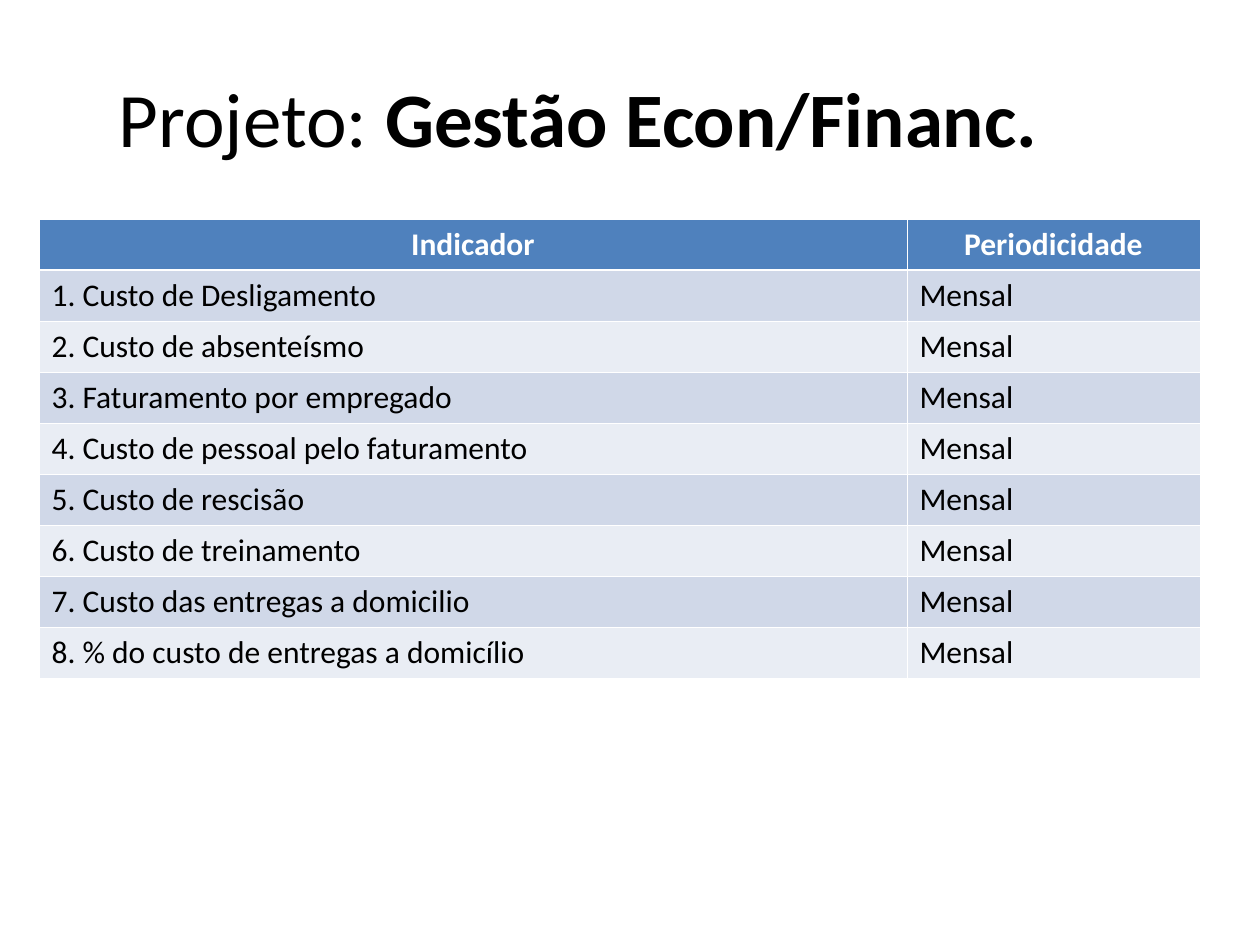
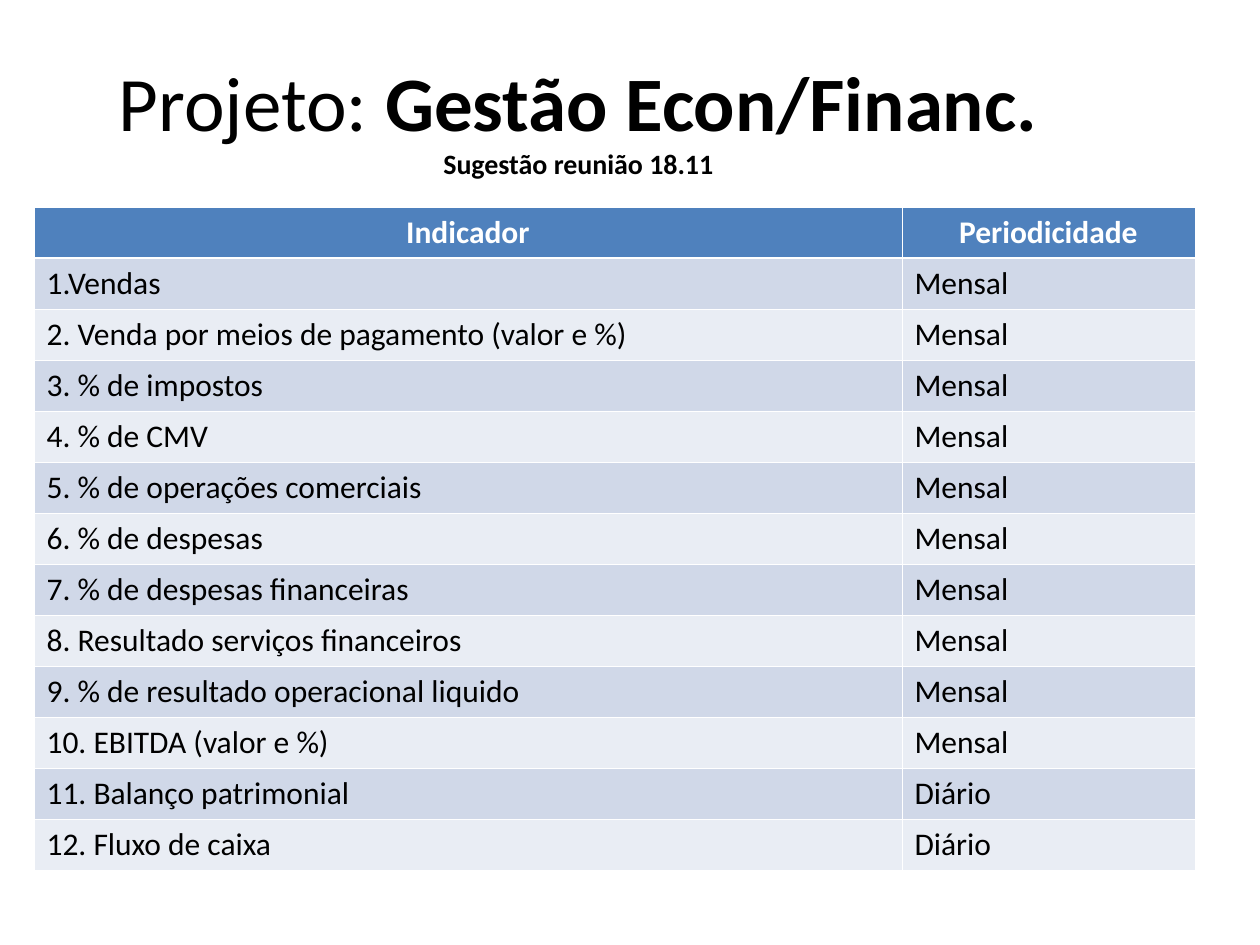
from lxml.etree import SubElement as Sub
from pptx import Presentation as Deck
from pptx.dml.color import RGBColor as Rgb
from pptx.enum.text import MSO_ANCHOR as Anchor, PP_ALIGN as Align
from pptx.oxml.ns import qn
from pptx.util import Pt

SCALE = 914400 / 126
HUES = {
    "black": "000000",
    "white": "FFFFFF",
    "head": "4F81BD",
    "odd": "D0D8E8",
    "even": "E9EDF4",
}
FACE = "Calibri"
TITLE = (-20, 38, 1197, 158)
COLS = (868, 293)
ROW = 51
THIN, THICK = 0.45, 1.47
HEADS = ("Indicador", "Periodicidade")

COSTS = [
    ("1. Custo de Desligamento", "Mensal"),
    ("2. Custo de absenteísmo", "Mensal"),
    ("3. Faturamento por empregado", "Mensal"),
    ("4. Custo de pessoal pelo faturamento", "Mensal"),
    ("5. Custo de rescisão", "Mensal"),
    ("6. Custo de treinamento", "Mensal"),
    ("7. Custo das entregas a domicilio", "Mensal"),
    ("8. % do custo de entregas a domicílio", "Mensal"),
]
SALES = [
    ("1.Vendas", "Mensal"),
    ("2. Venda por meios de pagamento (valor e %)", "Mensal"),
    ("3. % de impostos", "Mensal"),
    ("4. % de CMV", "Mensal"),
    ("5. % de operações comerciais", "Mensal"),
    ("6. % de despesas", "Mensal"),
    ("7. % de despesas financeiras", "Mensal"),
    ("8. Resultado serviços financeiros", "Mensal"),
    ("9. % de resultado operacional liquido", "Mensal"),
    ("10. EBITDA (valor e %)", "Mensal"),
    ("11. Balanço patrimonial", "Diário"),
    ("12. Fluxo de caixa", "Diário"),
]


def px(size):
    return round(size * SCALE)


def put(item, form):
    for key, value in form.items():
        setattr(item, key, value)


def write(par, text, size, hue="black", bold=False):
    run = par.add_run()
    run.text = text
    put(run.font, {"name": FACE, "size": Pt(size), "bold": bold})
    run.font.color.rgb = Rgb.from_string(HUES[hue])


def add_title(slide, box, note=None):
    frame = slide.shapes.add_textbox(*map(px, box)).text_frame
    put(frame, {"word_wrap": True, "vertical_anchor": Anchor.MIDDLE})
    par = frame.paragraphs[0]
    par.alignment = Align.CENTER
    write(par, "Projeto: ", 44)
    write(par, "Gestão Econ/Financ.", 44, bold=True)
    if note:
        par.add_line_break()
        write(par, note, 16, bold=True)


def edge(cell, row):
    widths = {
        "lnL": THIN,
        "lnR": THIN,
        "lnT": THICK if row == 1 else THIN,
        "lnB": THICK if row == 0 else THIN,
    }
    props = cell._tc.get_or_add_tcPr()
    for side, width in widths.items():
        line = Sub(props, qn("a:" + side), w=str(Pt(width)))
        fill = Sub(line, qn("a:solidFill"))
        Sub(fill, qn("a:srgbClr"), val=HUES["white"])


def add_grid(slide, left, top, items):
    rows = [HEADS, *items]
    box = (left, top, sum(COLS), ROW * len(rows))
    grid = slide.shapes.add_table(len(rows), len(COLS), *map(px, box)).table
    for col, width in zip(grid.columns, COLS):
        col.width = px(width)
    for r, texts in enumerate(rows):
        grid.rows[r].height = px(ROW)
        head = r == 0
        band = "head" if head else "odd" if r % 2 else "even"
        for c, text in enumerate(texts):
            cell = grid.cell(r, c)
            edge(cell, r)
            cell.fill.solid()
            cell.fill.fore_color.rgb = Rgb.from_string(HUES[band])
            par = cell.text_frame.paragraphs[0]
            par.alignment = Align.CENTER if head else Align.LEFT
            write(par, text, 18, "white" if head else "black", head)


def add_page(deck, left, top, items, note=None):
    slide = deck.slides.add_slide(deck.slide_layouts[6])
    add_title(slide, TITLE, note)
    add_grid(slide, left, top, items)


def main():
    deck = Deck()
    put(deck, {"slide_width": px(1260), "slide_height": px(945)})
    add_page(deck, 39, 219, COSTS)
    add_page(deck, 34, 207, SALES, "Sugestão reunião 18.11")
    deck.save("out.pptx")


if __name__ == "__main__":
    main()
